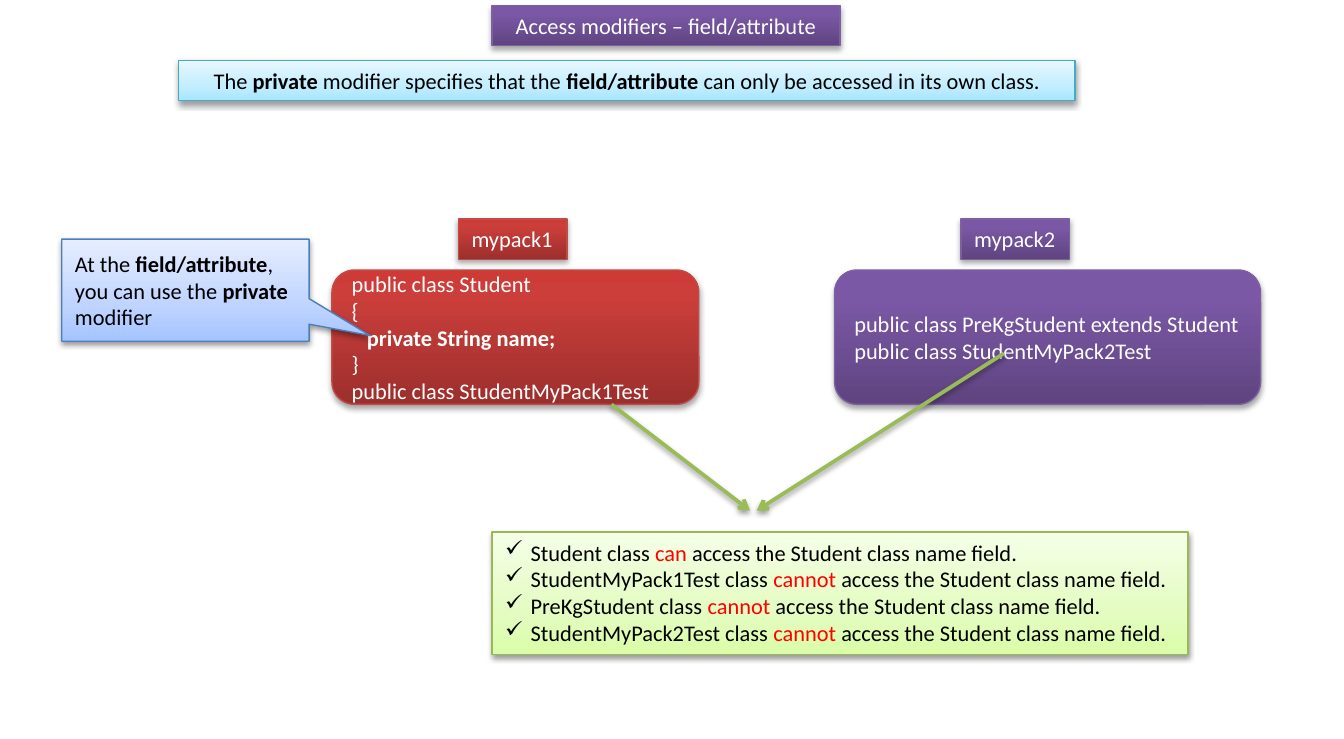
"""Builds a slide on the private access modifier of a field."""
from dataclasses import dataclass

from lxml import etree
from pptx import Presentation
from pptx import util as u
from pptx.dml.color import RGBColor
from pptx.enum import shapes, text
from pptx.oxml import parse_xml
from pptx.oxml.ns import nsdecls, qn

PX = 9144
SIZE = (1000, 550)


@dataclass(frozen=True)
class Look:
    stops: tuple
    line: str
    ink: str
    shade: tuple


@dataclass(frozen=True)
class Theme:
    font: str = "Calibri"
    size: int = 12
    edge: float = 0.75
    arrow: str = "9BBB59"
    stroke: int = 2
    alert: str = "FF0000"
    soft: tuple = (38, 1.6)
    deep: tuple = (35, 1.8)
    blur: float = 3.1


T = Theme()


def dark(low, mid, high, line):
    return Look(((0, low), (80, mid), (100, high)), line, "FFFFFF", T.deep)


def light(low, mid, high, line):
    return Look(((0, low), (35, mid), (100, high)), line, "000000", T.soft)


LOOKS = {
    "red": dark("9C2F2D", "CB3E3A", "CE3B37", "BF4C48"),
    "purple": dark("5F4480", "7B58A6", "7C57A8", "7D60A0"),
    "green": light("DAFDA7", "E4FCC2", "F5FFE7", "98B955"),
    "blue": light("A4C4FF", "BFD4FF", "E6EEFF", "4B7EBC"),
    "aqua": light("A7E6FF", "C1EDFF", "E7F8FF", "46AAC5"),
}

RULES = [
    ("Student", "can"),
    ("StudentMyPack1Test", "cannot"),
    ("PreKgStudent", "cannot"),
    ("StudentMyPack2Test", "cannot"),
]
NOTES = [f"{name} class *{verb}* access the Student class name field."
         for name, verb in RULES]

BOXES = [
    ("code", "red", (247, 201, 273, 100),
     ["public class Student", "{", "   *private String name;*", "}",
      "public class StudentMyPack1Test"]),
    ("code", "purple", (621, 201, 317, 100),
     ["public class PreKgStudent extends Student",
      "public class StudentMyPack2Test"]),
    ("label", "red", (341, 163, 81, 30), ["mypack1"]),
    ("label", "purple", (715, 163, 81, 30), ["mypack2"]),
    ("list", "green", (366, 396, 518, 91), NOTES),
    ("callout", "blue", (46, 178, 184, 76),
     ["At the *field/attribute*, you can use the *private* modifier"]),
    ("banner", "aqua", (133, 45, 667, 30),
     ["The *private* modifier specifies that the *field/attribute* "
      "can only be accessed in its own class."]),
    ("banner", "purple", (366, 4, 259, 30),
     ["Access modifiers – field/attribute"]),
]
ARROWS = [(455, 301, 558, 380), (747, 263, 563, 380)]

FORMS = {
    "code": shapes.MSO_SHAPE.ROUNDED_RECTANGLE,
    "callout": shapes.MSO_SHAPE.RECTANGULAR_CALLOUT,
}
TIP = (0.746, 0.444)
INDENT = 19


def emu(vals):
    return [v * PX for v in vals]


def cast(item, shade):
    alpha, dist = shade
    item._element.spPr.append(parse_xml(
        f'<a:effectLst {nsdecls("a")}><a:outerShdw blurRad="{u.Pt(T.blur)}" '
        f'dist="{u.Pt(dist)}" dir="5400000" rotWithShape="0">'
        f'<a:srgbClr val="000000"><a:alpha val="{alpha * 1000}"/></a:srgbClr>'
        '</a:outerShdw></a:effectLst>'))


def paint(box, look):
    box.fill.gradient()
    box.fill.gradient_angle = 90
    stops = box._element.spPr.find(".//" + qn("a:gsLst"))
    for old in list(stops):
        stops.remove(old)
    for pos, tint in look.stops:
        stop = etree.SubElement(stops, qn("a:gs"), pos=str(pos * 1000))
        etree.SubElement(stop, qn("a:srgbClr"), val=tint)
    box.line.color.rgb = RGBColor.from_string(look.line)
    box.line.width = u.Pt(T.edge)
    cast(box, look.shade)


def write(para, line, kind, ink):
    para.alignment = (text.PP_ALIGN.CENTER if kind == "banner"
                      else text.PP_ALIGN.LEFT)
    if kind == "list":
        props = para._p.get_or_add_pPr()
        props.set("marL", str(INDENT * PX))
        props.set("indent", str(-INDENT * PX))
        etree.SubElement(props, qn("a:buChar"), char="✓")
    for i, part in enumerate(line.split("*")):
        if not part:
            continue
        strong = i % 2 == 1
        run = para.add_run()
        run.text = part
        run.font.name = T.font
        run.font.size = u.Pt(T.size)
        run.font.bold = strong and kind != "list"
        tint = T.alert if strong and kind == "list" else ink
        run.font.color.rgb = RGBColor.from_string(tint)


def draw_box(slide, kind, name, place, lines):
    look = LOOKS[name]
    form = FORMS.get(kind, shapes.MSO_SHAPE.RECTANGLE)
    box = slide.shapes.add_shape(form, *emu(place))
    if kind == "callout":
        for i, val in enumerate(TIP):
            box.adjustments[i] = val
    paint(box, look)
    frame = box.text_frame
    frame.word_wrap = kind not in ("label", "list")
    if kind in FORMS:
        frame.vertical_anchor = text.MSO_ANCHOR.MIDDLE
    else:
        frame.vertical_anchor = text.MSO_ANCHOR.TOP
        frame.auto_size = text.MSO_AUTO_SIZE.SHAPE_TO_FIT_TEXT
    for i, line in enumerate(lines):
        para = frame.add_paragraph() if i else frame.paragraphs[0]
        write(para, line, kind, look.ink)


def draw_arrow(slide, ends):
    link = slide.shapes.add_connector(shapes.MSO_CONNECTOR.STRAIGHT, *emu(ends))
    link.line.color.rgb = RGBColor.from_string(T.arrow)
    link.line.width = u.Pt(T.stroke)
    etree.SubElement(link.line._get_or_add_ln(), qn("a:tailEnd"), type="arrow")
    cast(link, T.soft)


def main():
    deck = Presentation()
    deck.slide_width, deck.slide_height = emu(SIZE)
    slide = deck.slides.add_slide(deck.slide_layouts[6])
    for box in BOXES:
        draw_box(slide, *box)
    for ends in ARROWS:
        draw_arrow(slide, ends)
    deck.save("out.pptx")


if __name__ == "__main__":
    main()
